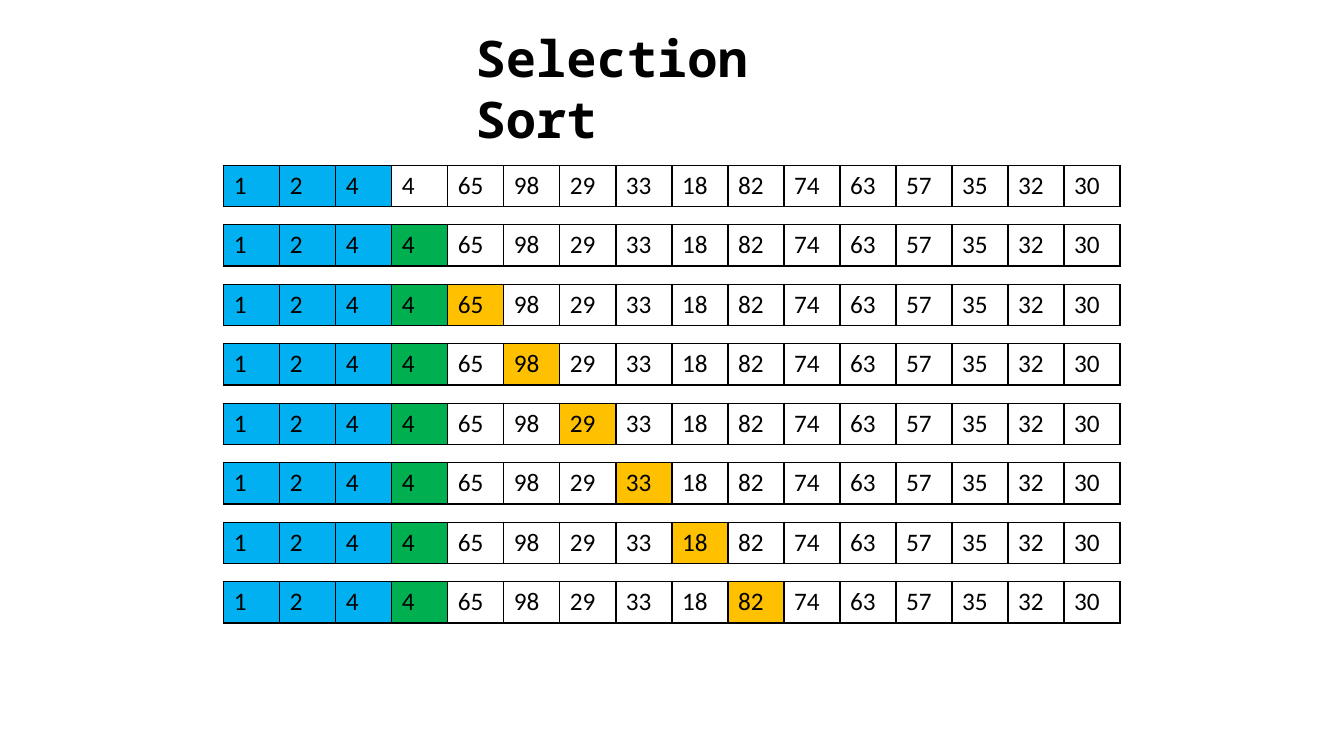
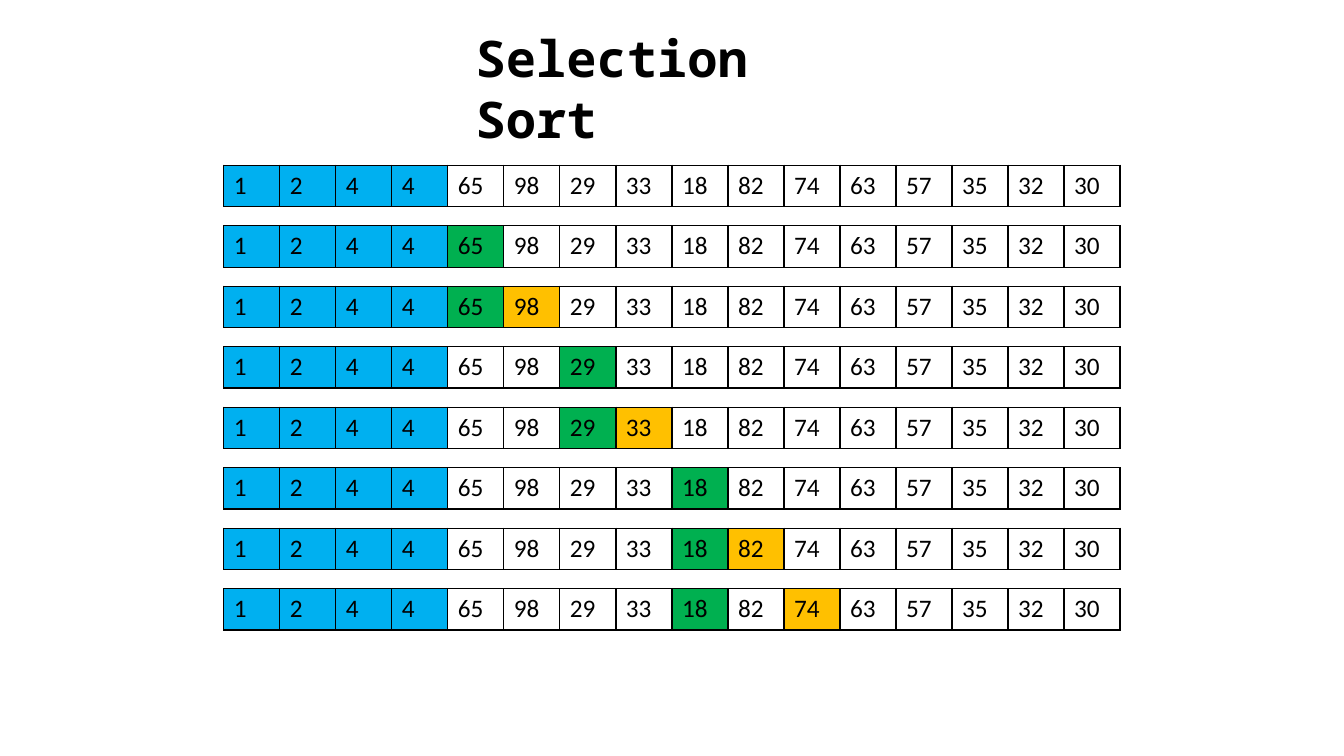
from lxml.etree import SubElement
from pptx import Presentation
from pptx.dml.color import RGBColor
from pptx.enum.text import MSO_AUTO_SIZE
from pptx.oxml.ns import qn
from pptx.util import Inches, Pt

COLORS = {
    "ink": "000000",
    "plain": "FFFFFF",
    "sorted": "00B0F0",
    "minimum": "00B050",
    "current": "FFC000",
}
TITLE_FONT = "Noto Sans Mono"
CELL_FONT = "Calibri"

VALUES = [1, 2, 4, 4, 65, 98, 29, 33, 18, 82, 74, 63, 57, 35, 32, 30]
ROW_LEFT, FIRST_TOP = 2.22, 1.64
ROW_WIDTH, ROW_HEIGHT = 8.89, 0.41

PASSES = [
    {
        "sorted_count": 3,
        "pitch": 0.59,
        "steps": [(None, None), (3, None), (3, 4), (3, 5),
                  (3, 6), (3, 7), (3, 8), (3, 9)],
    },
    {
        "sorted_count": 4,
        "pitch": 0.6,
        "steps": [(None, None), (4, None), (4, 5), (6, None),
                  (6, 7), (8, None), (8, 9), (8, 10)],
    },
]


def color(name):
    return RGBColor.from_string(COLORS[name])


def add_text(para, text, font, size, bold=False):
    span = para.add_run()
    span.text = text
    span.font.name = font
    span.font.size = Pt(size)
    span.font.bold = bold
    span.font.color.rgb = color("ink")


def add_title(page, text):
    box = page.shapes.add_textbox(Inches(4.62), Inches(0.22), Inches(4.09), Inches(0.71))
    frame = box.text_frame
    frame.word_wrap = True
    frame.auto_size = MSO_AUTO_SIZE.SHAPE_TO_FIT_TEXT
    add_text(frame.paragraphs[0], text, TITLE_FONT, 36, bold=True)


def add_borders(cell):
    properties = cell._tc.get_or_add_tcPr()
    for side in ("a:lnL", "a:lnR", "a:lnT", "a:lnB"):
        line = SubElement(properties, qn(side), w=str(Pt(1)))
        fill = SubElement(line, qn("a:solidFill"))
        SubElement(fill, qn("a:srgbClr"), val=COLORS["ink"])


def cell_role(index, sorted_count, minimum, current):
    if index < sorted_count:
        return "sorted"
    if index == minimum:
        return "minimum"
    if index == current:
        return "current"
    return "plain"


def add_array(page, top, roles):
    frame = page.shapes.add_table(1, len(VALUES), Inches(ROW_LEFT), Inches(top),
                                  Inches(ROW_WIDTH), Inches(ROW_HEIGHT))
    table = frame.table
    table.first_row = False
    table.horz_banding = False
    for cell, value, role in zip(table.iter_cells(), VALUES, roles):
        add_borders(cell)
        cell.fill.solid()
        cell.fill.fore_color.rgb = color(role)
        add_text(cell.text_frame.paragraphs[0], str(value), CELL_FONT, 18)


def add_pass(deck, sorted_count, pitch, steps):
    page = deck.slides.add_slide(deck.slide_layouts[6])
    add_title(page, "Selection Sort")
    for number, (minimum, current) in enumerate(steps):
        roles = [cell_role(index, sorted_count, minimum, current)
                 for index in range(len(VALUES))]
        add_array(page, FIRST_TOP + number * pitch, roles)


def main():
    deck = Presentation()
    deck.slide_width = Inches(13.33)
    deck.slide_height = Inches(7.5)
    for sort_pass in PASSES:
        add_pass(deck, **sort_pass)
    deck.save("out.pptx")


main()
